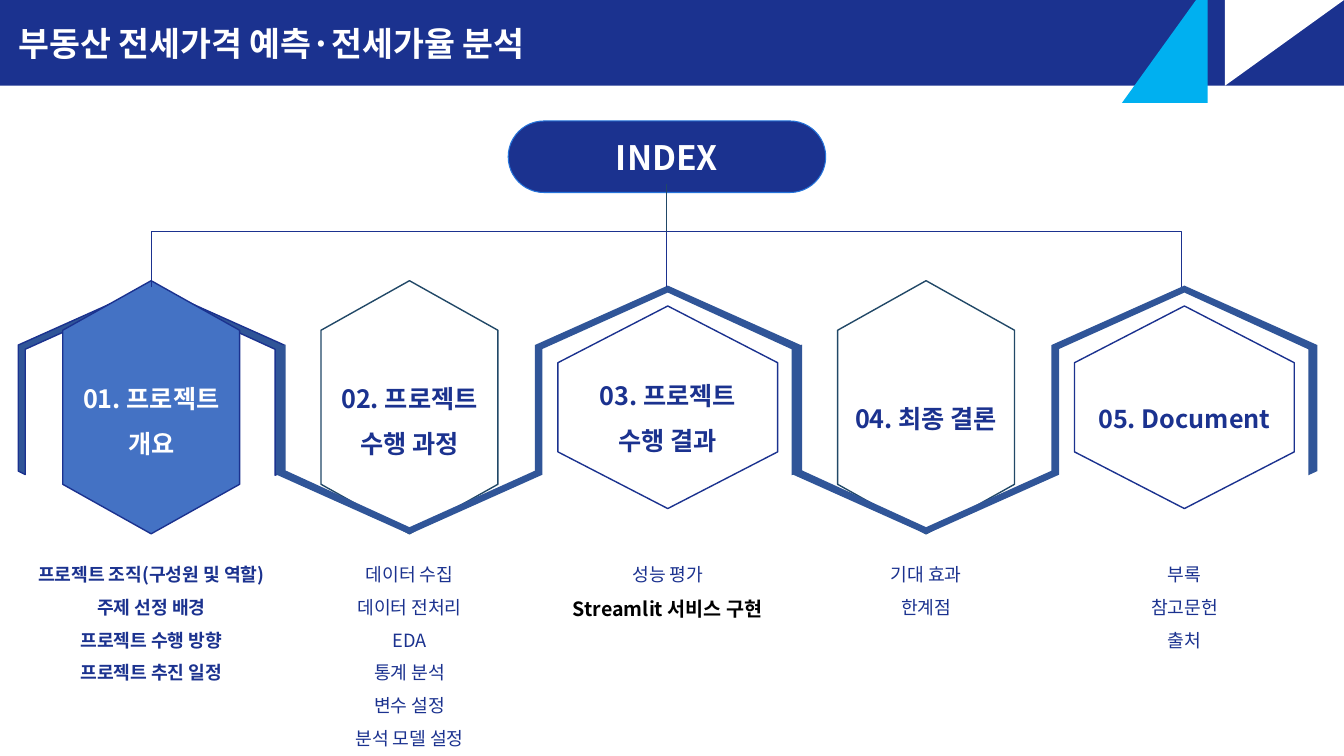
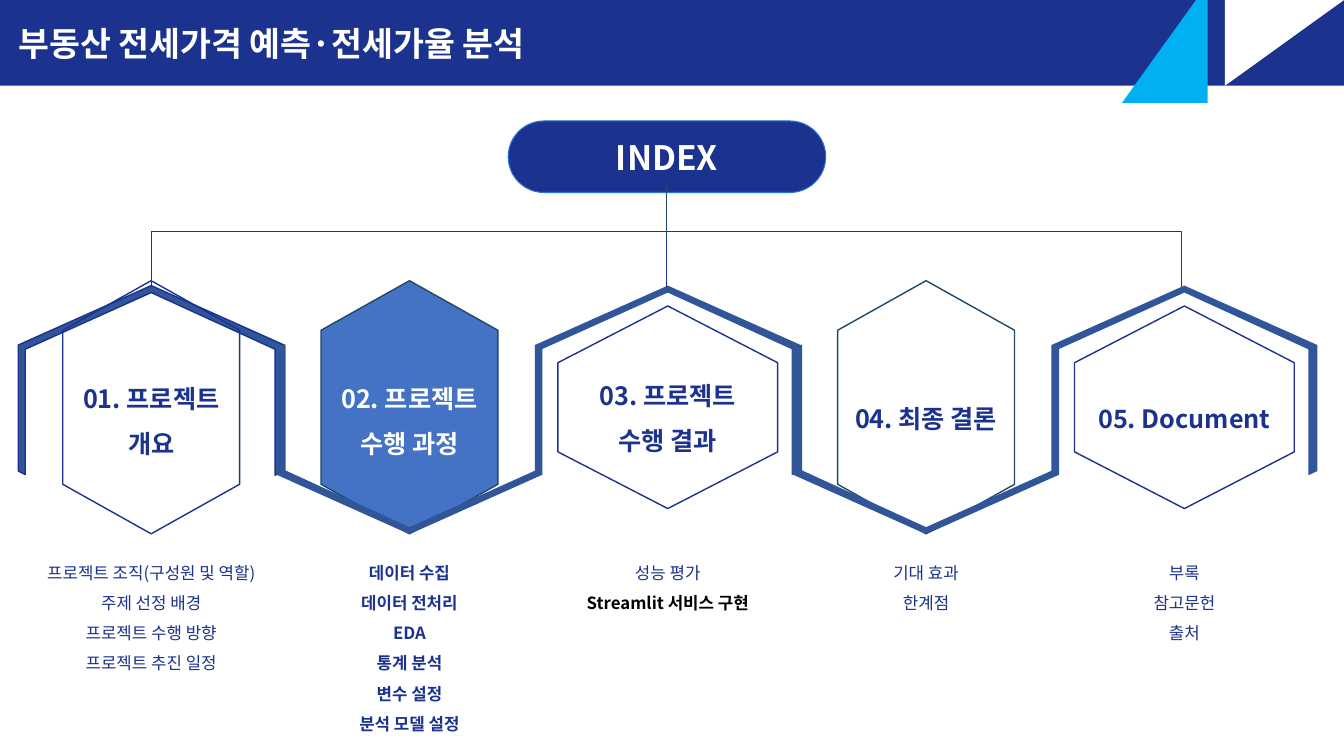
from lxml import etree
from pptx import Presentation
from pptx import util as u
from pptx.dml.color import RGBColor
from pptx.enum import shapes, text
from pptx.oxml import ns

Pt = u.Pt
FONT = "Noto Sans CJK KR"
COLORS = {
    "navy": "1B328F", "blue": "4472C4", "ribbon": "305598", "teal": "214867",
    "sky": "00B0F0", "edge": "2574DB", "white": "FFFFFF", "black": "000000",
}
TITLE = "부동산 전세가격 예측·전세가율 분석"
PAGE_W, PAGE_H, BAND_H = 960, 540, 61.2
FIRST_X, STEP_X = 108, 184.5  # column centres
INDEX_X, BRACKET_W = 476, 368
RIBBON_TOP, RIBBON_BOTTOM = 204, 381.6
RIBBON = [(0, 0), (95, 42.5), (95, 132.5), (88.5, 135.5), (88.5, 45.5),
          (0, 5), (-90, 45.5), (-90, 135), (-95, 132.5), (-95, 42.5)]
TALL, WIDE = (126.4, 180.8), (157, 144.7)  # hexagon sizes
LINE_FACTOR = 1.8  # line pitch per point of text

# Per column: label lines, label top, hexagon size, hexagon edge, topics
COLUMNS = [
    (["01. 프로젝트", "개요"], 259.2, TALL, "navy",
     ["프로젝트 조직(구성원 및 역할)", "주제 선정 배경", "프로젝트 수행 방향",
      "프로젝트 추진 일정"]),
    (["02. 프로젝트", "수행 과정"], 259.2, TALL, "teal",
     ["데이터 수집", "데이터 전처리", "EDA", "통계 분석", "변수 설정", "분석 모델 설정"]),
    (["03. 프로젝트", "수행 결과"], 257, WIDE, "navy",
     ["성능 평가", "Streamlit 서비스 구현"]),
    (["04. 최종 결론"], 273.6, TALL, "teal", ["기대 효과", "한계점"]),
    (["05. Document"], 273.6, WIDE, "navy", ["부록", "참고문헌", "출처"]),
]
KEY_TOPIC = "Streamlit 서비스 구현"


class Board:
    """Holds the deck style and the current slide."""

    def __init__(self):
        self.deck = Presentation()
        self.deck.slide_width, self.deck.slide_height = Pt(PAGE_W), Pt(PAGE_H)
        self.page = None

    def color(self, name):
        return RGBColor.from_string(COLORS[name])

    def new_page(self):
        self.page = self.deck.slides.add_slide(self.deck.slide_layouts[5])

    def paint(self, shape, fill=None, line=None, width=1):
        if fill:
            shape.fill.solid()
            shape.fill.fore_color.rgb = self.color(fill)
        else:
            shape.fill.background()
        if line:
            shape.line.color.rgb = self.color(line)
            shape.line.width = Pt(width)
        else:
            shape.line.fill.background()

    def frame(self, shape, anchor, left=7.2):
        settings = {"word_wrap": True, "auto_size": text.MSO_AUTO_SIZE.NONE,
                    "vertical_anchor": anchor, "margin_left": Pt(left),
                    "margin_right": Pt(7.2), "margin_top": Pt(3.6),
                    "margin_bottom": Pt(3.6)}
        for key, value in settings.items():
            setattr(shape.text_frame, key, value)
        return shape.text_frame

    def fill_para(self, para, words, size, color, bold, spacing,
                  align=text.PP_ALIGN.CENTER):
        settings = {"alignment": align, "line_spacing": spacing,
                    "space_before": Pt(0), "space_after": Pt(0)}
        for key, value in settings.items():
            setattr(para, key, value)
        span = para.add_run()
        span.text = words
        for key, value in {"size": Pt(size), "bold": bold, "name": FONT}.items():
            setattr(span.font, key, value)
        span.font.color.rgb = self.color(color)
        east = etree.SubElement(span._r.get_or_add_rPr(), ns.qn("a:ea"))
        east.set("typeface", FONT)

    def title(self, words):
        band = self.page.shapes.title
        band.left, band.top = Pt(0), Pt(0)
        band.width, band.height = Pt(PAGE_W), Pt(BAND_H)
        self.paint(band, "navy")
        frame = self.frame(band, text.MSO_ANCHOR.MIDDLE, left=13)
        self.fill_para(frame.paragraphs[0], words, 24, "white", True, 1.0,
                       text.PP_ALIGN.LEFT)

    def shape(self, kind, x, y, w, h, turn=0, adjust=None, **look):
        """Place a preset by its visible box, whatever its quarter turn."""
        bw, bh = (h, w) if turn in (90, 270) else (w, h)
        shape = self.page.shapes.add_shape(
            kind, Pt(x + (w - bw) / 2), Pt(y + (h - bh) / 2), Pt(bw), Pt(bh))
        shape.rotation = turn
        shape.shadow.inherit = False
        if adjust is not None:
            shape.adjustments[0] = adjust
        self.paint(shape, **look)
        return shape

    def hexagon(self, center, size, **look):
        w, h = size
        self.shape(shapes.MSO_SHAPE.HEXAGON, center - w / 2, 290.9 - h / 2,
                   w, h, 270, 0.28, **look)

    def ribbon(self, center, upright, line):
        sign, start = (1, RIBBON_TOP) if upright else (-1, RIBBON_BOTTOM)
        points = [(Pt(center + sign * x), Pt(start + sign * y)) for x, y in RIBBON]
        builder = self.page.shapes.build_freeform(*points[0])
        builder.add_line_segments(points[1:], close=True)
        shape = builder.convert_to_shape()
        shape.shadow.inherit = False
        self.paint(shape, "ribbon", line)

    def line(self, x1, y1, x2, y2, color):
        line = self.page.shapes.add_connector(
            shapes.MSO_CONNECTOR.STRAIGHT, Pt(x1), Pt(y1), Pt(x2), Pt(y2))
        line.line.color.rgb = self.color(color)
        line.line.width = Pt(0.75)
        etree.SubElement(line._element.spPr, ns.qn("a:effectLst"))

    def lines(self, center, top, width, rows):
        """Stack centred rows of (words, size, color, bold)."""
        height = 7.2 + sum(LINE_FACTOR * row[1] for row in rows)
        box = self.page.shapes.add_textbox(
            Pt(center - width / 2), Pt(top), Pt(width), Pt(height))
        frame = self.frame(box, text.MSO_ANCHOR.TOP)
        for i, row in enumerate(rows):
            para = frame.add_paragraph() if i else frame.paragraphs[0]
            self.fill_para(para, *row, Pt(LINE_FACTOR * row[1]))


def draw_header(board):
    board.title(TITLE)
    triangle = shapes.MSO_SHAPE.RIGHT_TRIANGLE
    board.shape(triangle, 875, 0, 85, BAND_H, 90, fill="white")
    board.shape(triangle, 801.4, -11.5, 61.2, 85, 270, fill="sky")


def draw_index(board):
    for left in (INDEX_X - BRACKET_W, INDEX_X):
        board.shape(shapes.MSO_SHAPE.LEFT_BRACKET, left, 165.6, BRACKET_W, 39.6,
                    90, 0, line="navy", width=0.75)
    pill = board.shape(shapes.MSO_SHAPE.ROUNDED_RECTANGLE, 363, 86.4, 226.8, 51.1,
                       adjust=0.5, fill="navy", line="edge", width=0.75)
    frame = board.frame(pill, text.MSO_ANCHOR.MIDDLE)
    board.fill_para(frame.paragraphs[0], "INDEX", 24, "white", True, 1.0)
    board.line(INDEX_X, 131.8, INDEX_X, 165.6, "teal")


def draw_column(board, i, active, size, key_size):
    label, label_top, hex_size, edge, topics = COLUMNS[i]
    center = FIRST_X + i * STEP_X
    upright = i % 2 == 0
    fill = "blue" if active else None

    # Upright ribbons lie behind their hexagon, hanging ones in front
    if not upright:
        board.hexagon(center, hex_size, fill=fill, line=edge)
    board.ribbon(center, upright, "navy" if i == 0 else None)
    if upright:
        board.hexagon(center, hex_size, fill=fill, line=edge)

    ink = "white" if active else "navy"
    board.lines(center, label_top, 162, [(row, 18, ink, True) for row in label])
    board.lines(center, 391, 183.6, [
        (row, key_size, "black", True) if row == KEY_TOPIC
        else (row, size, "navy", active) for row in topics])


def main():
    board = Board()
    # One slide per active column: topic size, key topic size
    for active, (size, key_size) in enumerate([(13, 14), (12, 12)]):
        board.new_page()
        draw_header(board)
        for i in range(len(COLUMNS)):
            draw_column(board, i, i == active, size, key_size)
        draw_index(board)
    board.deck.save("out.pptx")


if __name__ == "__main__":
    main()
